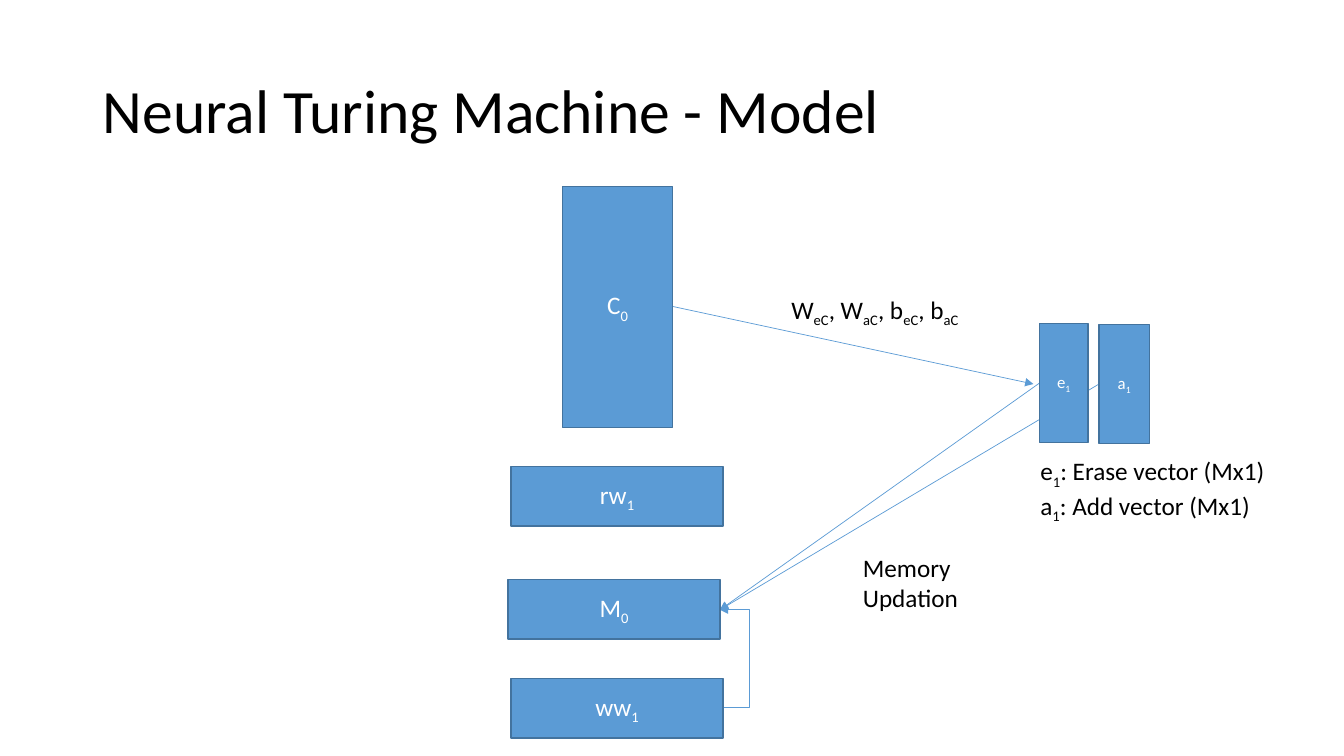
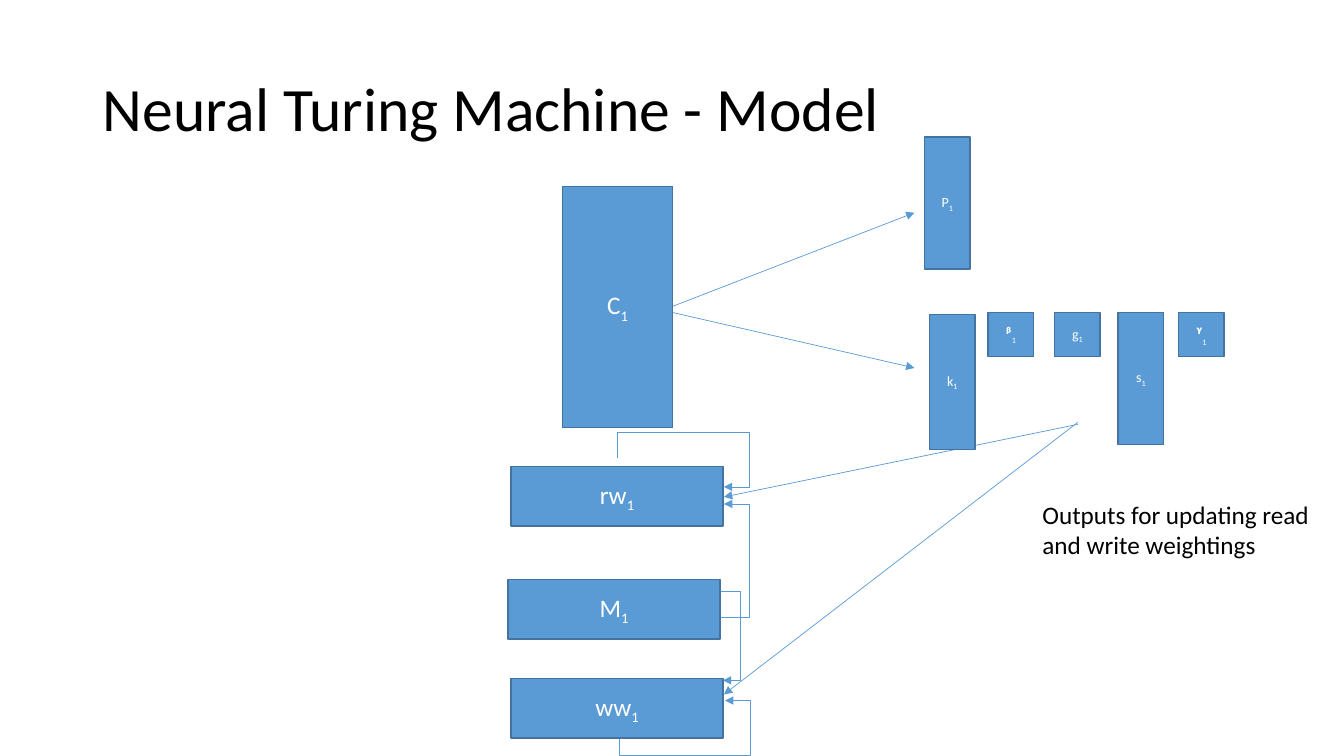
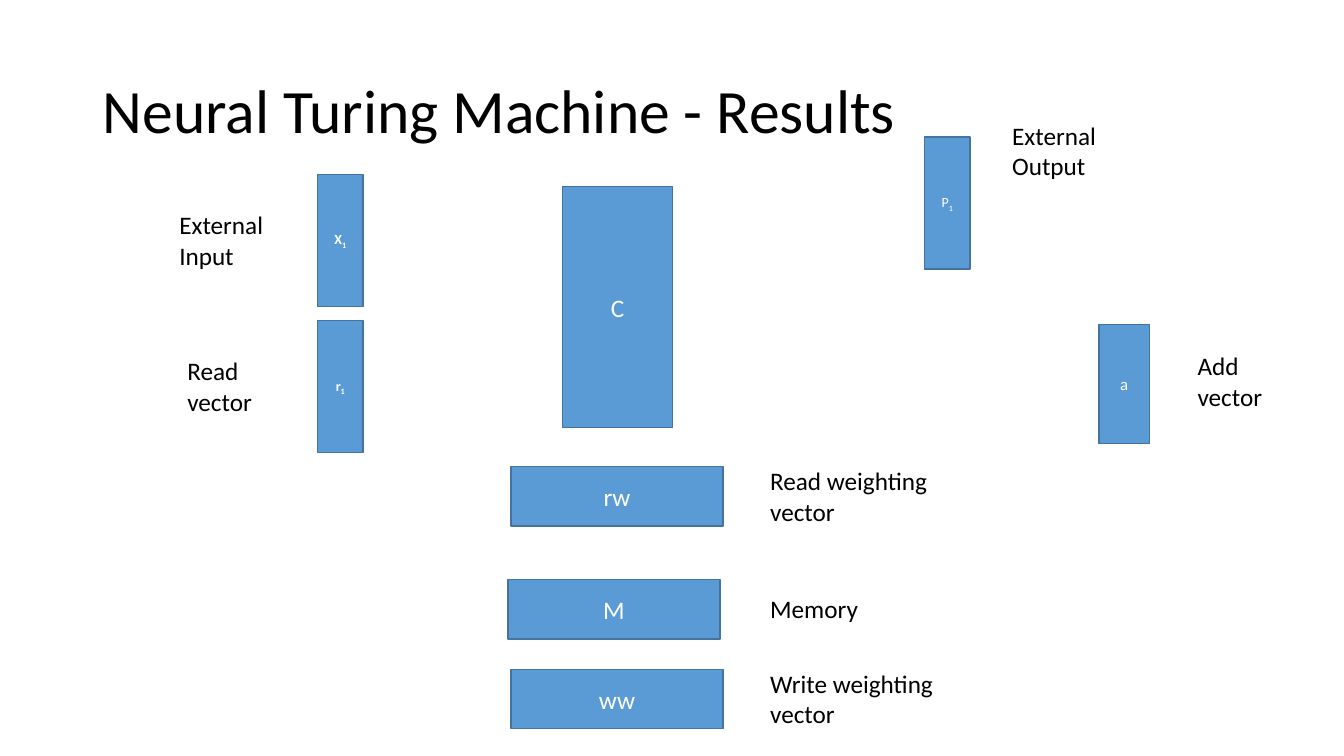
from lxml import etree
from pptx import Presentation
from pptx import util as u
from pptx.dml.color import RGBColor
from pptx.enum import shapes, text
from pptx.oxml.ns import qn

FONT = "Calibri"
BLACK, WHITE, BLUE, EDGE = "000000", "FFFFFF", "5B9BD5", "43739E"

# Square brackets in a text mark a subscript.
CONTROLLER = (5.58, 1.85, 1.09, 2.39)
READ_WEIGHTS = (5.07, 4.63, 2.1, 0.59)
MEMORY = (5.04, 5.75, 2.1, 0.59)
WRITE_WEIGHTS = (5.07, 6.73, 2.1, 0.59)
ADD_VECTOR = (10.9, 3.22, 0.5, 1.18)
OUTPUT = (9.17, 1.36, 0.45, 1.31)
BETA, GATE, GAMMA = [(left, 3.1, 0.45, 0.44) for left in (9.8, 10.46, 11.69)]

# Boxes: text, place, size, format. Notes: text, place.
# Arrows: start, end. Elbows: start, corners, end.
SLIDES = [
    dict(
        title="Neural Turing Machine - Model", title_top=0.4,
        arrows=[
            ((6.67, 3.04), (10.25, 3.81)),
            ((10.31, 3.8), (7.14, 6.05)),
            ((10.9, 3.81), (7.14, 6.05)),
        ],
        elbows=[((7.18, 7.02), [(7.43, 7.02), (7.43, 6.05)], (7.14, 6.05))],
        boxes=[
            ("C[0]", CONTROLLER, 18, {}),
            ("rw[1]", READ_WEIGHTS, 18, {}),
            ("ww[1]", WRITE_WEIGHTS, 18, {}),
            ("M[0]", MEMORY, 18, {}),
            ("e[1]", (10.31, 3.21, 0.48, 1.18), 12, {}),
            ("a[1]", ADD_VECTOR, 12, {}),
        ],
        notes=[
            ("e[1]: Erase vector (Mx1)\na[1]: Add vector (Mx1)", (10.22, 4.47, 2.79, 0.71)),
            ("Memory Updation", (8.46, 5.43, 1.34, 0.71)),
            ("W[eC], W[aC], b[eC], b[aC]", (7.75, 2.87, 1.96, 0.4)),
        ],
    ),
    dict(
        title="Neural Turing Machine - Model", title_top=0.38,
        arrows=[
            ((6.67, 3.04), (9.07, 2.11)),
            ((6.67, 3.1), (9.07, 3.65)),
            ((10.69, 4.21), (7.18, 4.93)),
            ((10.69, 4.19), (7.18, 6.89)),
        ],
        elbows=[
            ((6.12, 4.54), [(6.12, 4.29), (7.43, 4.29), (7.43, 4.83)], (7.18, 4.83)),
            ((7.14, 6.12), [(7.43, 6.12), (7.43, 5)], (7.18, 5)),
            ((6.14, 7.24), [(6.14, 7.49), (7.44, 7.49), (7.44, 6.95)], (7.19, 6.95)),
            ((7.13, 5.87), [(7.34, 5.87), (7.34, 6.75)], (7.17, 6.75)),
        ],
        boxes=[
            ("k[1]", (9.22, 3.12, 0.45, 1.34), 10, {}),
            ("ᵝ[1]", BETA, 12, dict(bold=True, sub_size=10)),
            ("g[1]", GATE, 10, {}),
            ("s[1]", (11.09, 3.1, 0.45, 1.31), 10, {}),
            ("ᵞ[1]", GAMMA, 14, dict(bold=True, sub_size=10)),
            ("C[1]", CONTROLLER, 18, {}),
            ("rw[1]", READ_WEIGHTS, 18, {}),
            ("ww[1]", WRITE_WEIGHTS, 18, {}),
            ("M[1]", MEMORY, 18, {}),
            ("P[1]", OUTPUT, 10, {}),
        ],
        notes=[("Outputs for updating read and write weightings", (10.24, 4.9, 2.9, 0.71))],
    ),
    dict(
        title="Neural Turing Machine - Results", title_top=0.4,
        arrows=[],
        elbows=[],
        boxes=[
            ("C", CONTROLLER, 18, {}),
            ("rw", READ_WEIGHTS, 18, {}),
            ("ww", (5.07, 6.64, 2.1, 0.59), 18, {}),
            ("M", MEMORY, 18, {}),
            ("a", ADD_VECTOR, 12, {}),
            ("P[1]", OUTPUT, 10, {}),
            ("X[1]", (3.15, 1.73, 0.45, 1.31), 10, dict(bold=True)),
            ("r[1]", (3.15, 3.18, 0.45, 1.31), 10, dict(bold=True)),
        ],
        notes=[
            ("External Output", (9.94, 1.14, 1.14, 0.71)),
            ("External Input", (1.68, 2.03, 1.14, 0.71)),
            ("Read vector", (1.76, 3.48, 1.14, 0.71)),
            ("Add vector", (11.78, 3.43, 1.14, 0.71)),
            ("Read weighting vector", (7.54, 4.57, 1.98, 0.71)),
            ("Write weighting vector", (7.54, 6.58, 1.98, 0.71)),
            ("Memory", (7.54, 5.84, 1.98, 0.4)),
        ],
    ),
]


def color(hex_string):
    return RGBColor.from_string(hex_string)


def inches(values):
    return [u.Inches(value) for value in values]


def write(shape, content, size=18, ink=BLACK, align=text.PP_ALIGN.LEFT,
          anchor=text.MSO_ANCHOR.TOP, bold=False, sub_size=None, spacing=None):
    """Fill a shape; a separate sub_size also makes the subscript regular."""
    frame = shape.text_frame
    frame.word_wrap = True
    frame.vertical_anchor = anchor
    for number, line in enumerate(content.split("\n")):
        paragraph = frame.add_paragraph() if number else frame.paragraphs[0]
        paragraph.alignment = align
        paragraph.line_spacing = spacing
        for index, piece in enumerate(line.replace("]", "[").split("[")):
            if not piece:
                continue
            subscript = index % 2 == 1
            run = paragraph.add_run()
            run.text = piece
            font = run.font
            font.name = FONT
            font.size = u.Pt(sub_size if subscript and sub_size else size)
            font.bold = bold and not (subscript and sub_size)
            font.color.rgb = color(ink)
            if subscript:
                font._element.set("baseline", "-25000")


def add_text(slide, content, place, **style):
    write(slide.shapes.add_textbox(*inches(place)), content, **style)


def add_box(slide, content, place, size, style):
    box = slide.shapes.add_shape(shapes.MSO_SHAPE.RECTANGLE, *inches(place))
    box.shadow.inherit = False
    box.fill.solid()
    box.fill.fore_color.rgb = color(BLUE)
    box.line.color.rgb = color(EDGE)
    box.line.width = u.Pt(1)
    write(box, content, size=size, ink=WHITE, align=text.PP_ALIGN.CENTER,
          anchor=text.MSO_ANCHOR.MIDDLE, **style)


def add_arrow(slide, start, end, kind=shapes.MSO_CONNECTOR.STRAIGHT):
    arrow = slide.shapes.add_connector(kind, *inches(start + end))
    arrow.line.color.rgb = color(BLUE)
    arrow.line.width = u.Pt(0.5)
    etree.SubElement(arrow.line._get_or_add_ln(), qn("a:tailEnd"), type="triangle")
    etree.SubElement(arrow._element.spPr, qn("a:effectLst"))
    return arrow


def add_elbow(slide, start, corners, end):
    """Two corners leave sideways; three leave vertically, on a turned frame."""
    (x1, y1), (x2, y2) = start, end
    across, down = x2 - x1, y2 - y1
    bends = [(corners[0][0] - x1) / across]
    rotation = None
    if len(corners) == 3:
        bends = [(corners[0][1] - y1) / down, (corners[1][0] - x1) / across]
        rotation = 270 if down > 0 else 90
        middle_x, middle_y = (x1 + x2) / 2, (y1 + y2) / 2
        half_width, half_height = abs(down) / 2, across / 2
        rise = half_height if down > 0 else -half_height
        start = (middle_x + half_width, middle_y - rise)
        end = (middle_x - half_width, middle_y + rise)
    elbow = add_arrow(slide, start, end, shapes.MSO_CONNECTOR.ELBOW)
    properties = elbow._element.spPr
    if rotation:
        properties.find(qn("a:xfrm")).set("rot", str(rotation * 60000))
    geometry = properties.find(qn("a:prstGeom"))
    geometry.set("prst", f"bentConnector{len(corners) + 1}")
    guides = geometry.find(qn("a:avLst"))
    for number, bend in enumerate(bends, 1):
        etree.SubElement(guides, qn("a:gd"), name=f"adj{number}",
                         fmla=f"val {round(bend * 100000)}")


def main():
    deck = Presentation()
    deck.slide_width, deck.slide_height = inches((13.33, 7.5))
    for content in SLIDES:
        slide = deck.slides.add_slide(deck.slide_layouts[6])
        add_text(slide, content["title"], (0.92, content["title_top"], 11.5, 1.45),
                 size=44, anchor=text.MSO_ANCHOR.MIDDLE, spacing=0.9)
        for arrow in content["arrows"]:
            add_arrow(slide, *arrow)
        for elbow in content["elbows"]:
            add_elbow(slide, *elbow)
        for box in content["boxes"]:
            add_box(slide, *box)
        for note in content["notes"]:
            add_text(slide, *note)
    deck.save("out.pptx")


if __name__ == "__main__":
    main()
